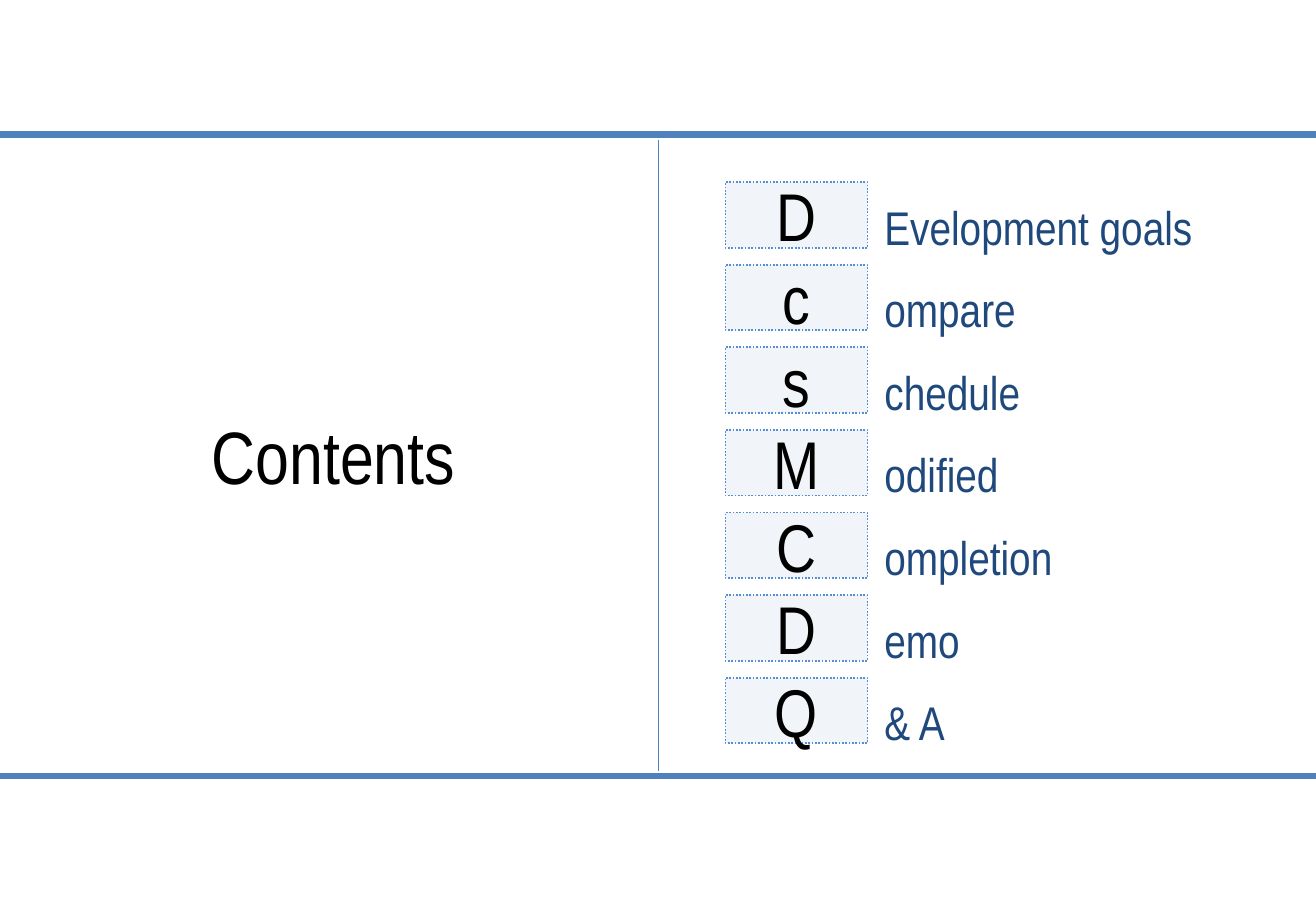
import pptx
import pptx.util
import pptx.dml.color
import pptx.enum.dml
import pptx.enum.shapes
import pptx.enum.text
import pptx.oxml
import pptx.oxml.ns

Inches = pptx.util.Inches
Pt = pptx.util.Pt
RGBColor = pptx.dml.color.RGBColor
Align = pptx.enum.text.PP_ALIGN
Anchor = pptx.enum.text.MSO_ANCHOR

# Content: boxed initial and the rest of each entry
TITLE = "Contents"
ENTRIES = [
    ("D", "Evelopment goals"),
    ("c", "ompare"),
    ("s", "chedule"),
    ("M", "odified"),
    ("C", "ompletion"),
    ("D", "emo"),
    ("Q", "& A"),
]

# Colours and text formats
WHITE = RGBColor(0xFF, 0xFF, 0xFF)
BLACK = RGBColor(0x00, 0x00, 0x00)
BLUE = RGBColor(0x4F, 0x81, 0xBD)
PALE_BLUE = RGBColor(0xDC, 0xE6, 0xF2)
DOT_BLUE = RGBColor(0x55, 0x8E, 0xD5)
NAVY = RGBColor(0x1F, 0x49, 0x7D)
FONT = "Arial Narrow"
TITLE_FORMAT = {"name": FONT, "size": Pt(44)}
INITIAL_FORMAT = {"name": FONT, "size": Pt(40)}
ENTRY_FORMAT = {"name": FONT, "size": Pt(28)}

# Entry list geometry, in inches
FIRST_TOP, ROW_STEP = 1.5, 0.68
BOX_LEFT, BOX_WIDTH, BOX_HEIGHT = 5.97, 1.17, 0.54
ENTRY_LEFT, ENTRY_OFFSET, ENTRY_WIDTH, ENTRY_HEIGHT = 7.18, 0.08, 3.28, 0.57


def write(frame, text, formats, colour, align, anchor):
    frame.word_wrap = True
    frame.vertical_anchor = anchor
    para = frame.paragraphs[0]
    para.alignment = align
    span = para.add_run()
    span.text = text
    for name, value in formats.items():
        setattr(span.font, name, value)
    span.font.color.rgb = colour


def add_rectangle(page, left, top, width, height, fill, line, line_width):
    shape = page.shapes.add_shape(
        pptx.enum.shapes.MSO_SHAPE.RECTANGLE,
        Inches(left), Inches(top), Inches(width), Inches(height))
    shape.shadow.inherit = False
    shape.fill.solid()
    shape.fill.fore_color.rgb = fill
    shape.line.color.rgb = line
    shape.line.width = Pt(line_width)
    return shape


def set_opacity(shape, percent):
    colour = shape.fill._xPr.find(".//" + pptx.oxml.ns.qn("a:srgbClr"))
    alpha = pptx.oxml.parse_xml(
        f'<a:alpha {pptx.oxml.ns.nsdecls("a")} val="{percent * 1000}"/>')
    colour.append(alpha)


def main():
    deck = pptx.Presentation()
    deck.slide_width, deck.slide_height = Inches(10.83), Inches(7.5)
    page = deck.slides.add_slide(deck.slide_layouts[5])

    # Wide band, placed behind the title
    band = add_rectangle(page, -0.05, 1.11, 10.93, 5.28, WHITE, BLUE, 4)
    page.shapes.title._element.addprevious(band._element)

    # Title
    title = page.shapes.title
    title.left, title.top = Inches(0.86), Inches(3.12)
    title.width, title.height = Inches(3.77), Inches(1.25)
    write(title.text_frame, TITLE, TITLE_FORMAT, BLACK, Align.CENTER, Anchor.MIDDLE)

    # Divider
    divider = page.shapes.add_connector(
        pptx.enum.shapes.MSO_CONNECTOR.STRAIGHT,
        Inches(5.42), Inches(1.15), Inches(5.42), Inches(6.35))
    divider.line.color.rgb = BLUE
    divider.line.width = Pt(0.5)
    divider._element.spPr.append(pptx.oxml.parse_xml(
        f'<a:effectLst {pptx.oxml.ns.nsdecls("a")}/>'))

    # Entries
    for row, (initial, rest) in enumerate(ENTRIES):
        top = FIRST_TOP + row * ROW_STEP
        box = add_rectangle(page, BOX_LEFT, top, BOX_WIDTH, BOX_HEIGHT,
                            PALE_BLUE, DOT_BLUE, 1)
        box.line.dash_style = pptx.enum.dml.MSO_LINE.ROUND_DOT
        set_opacity(box, 40)
        write(box.text_frame, initial, INITIAL_FORMAT, BLACK,
              Align.CENTER, Anchor.MIDDLE)
        entry = page.shapes.add_textbox(
            Inches(ENTRY_LEFT), Inches(top + ENTRY_OFFSET),
            Inches(ENTRY_WIDTH), Inches(ENTRY_HEIGHT))
        write(entry.text_frame, rest, ENTRY_FORMAT, NAVY, Align.LEFT, Anchor.TOP)

    deck.save("out.pptx")


if __name__ == "__main__":
    main()
